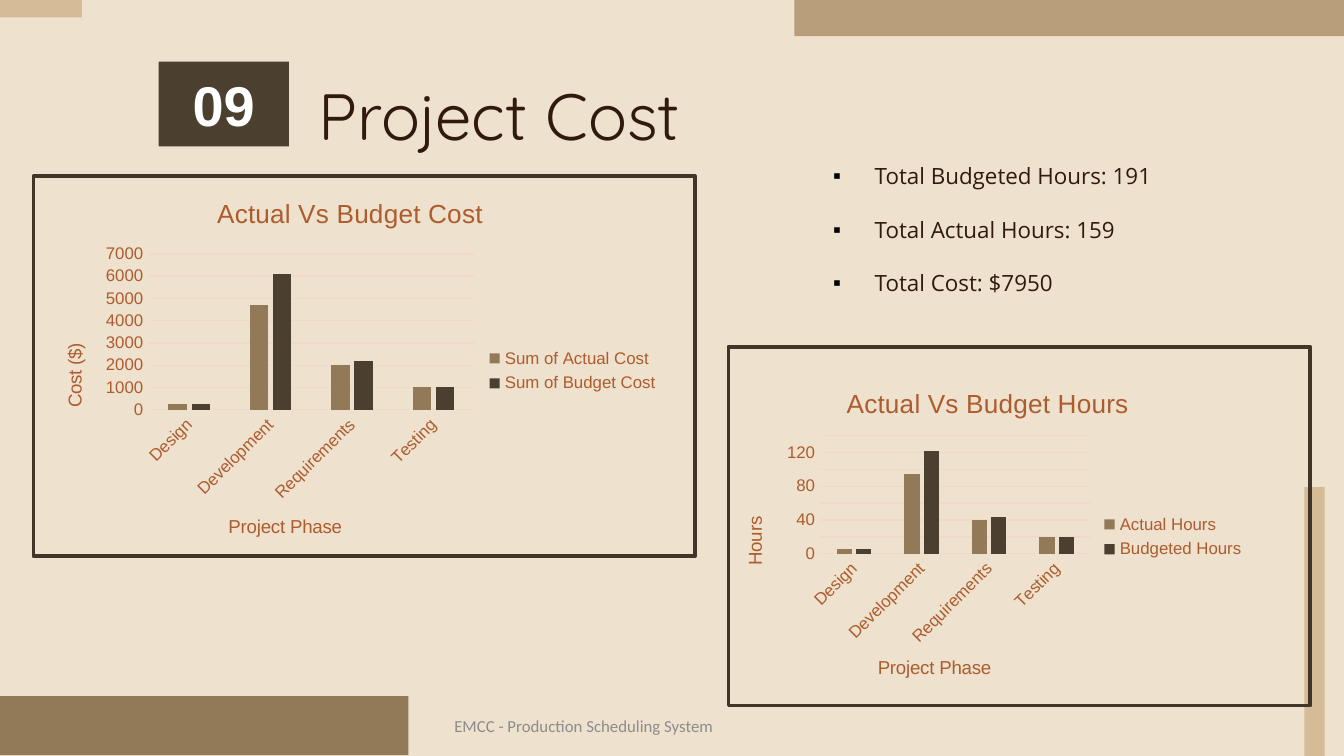
from lxml.etree import SubElement
from pptx import Presentation
from pptx.chart.data import CategoryChartData
from pptx.dml.color import RGBColor
from pptx.enum.chart import XL_CHART_TYPE, XL_LEGEND_POSITION, XL_TICK_MARK
from pptx.enum.shapes import MSO_SHAPE
from pptx.enum.text import MSO_ANCHOR, PP_ALIGN
from pptx.oxml import parse_xml
from pptx.oxml.ns import nsdecls, qn
from pptx.util import Inches, Pt

BROWN, DARK, SAND = "927A59", "4B3F2F", "D5BB96"
INK, RUST, GRID = "311A0D", "AD5C2E", "F1D8CA"
PHASES = ["Design", "Development", "Requirements", "Testing"]


def color(hex_value):
    return RGBColor.from_string(hex_value)


def style_font(font, size, hex_value, name="Arial", bold=False):
    font.size, font.name, font.bold = Pt(size), name, bold
    font.color.rgb = color(hex_value)


def add_rect(slide, box, fill=None, line=None):
    rect = slide.shapes.add_shape(MSO_SHAPE.RECTANGLE, *map(Inches, box))
    rect.shadow.inherit = False
    if fill:
        rect.fill.solid()
        rect.fill.fore_color.rgb = color(fill)
    else:
        rect.fill.background()
    if line:
        rect.line.color.rgb = color(line)
        rect.line.width = Pt(2)
    else:
        rect.line.fill.background()
    return rect


def set_text(shape, text, size, hex_value, name, margins=(0.1, 0.1), bold=False):
    frame = shape.text_frame
    frame.word_wrap = True
    frame.margin_left = frame.margin_right = Inches(margins[0])
    frame.margin_top = frame.margin_bottom = Inches(margins[1])
    frame.text = text
    style_font(frame.paragraphs[0].runs[0].font, size, hex_value, name, bold)
    return frame


def add_text(slide, box, *style, **options):
    label = slide.shapes.add_textbox(*map(Inches, box))
    return set_text(label, *style, **options)


def add_bullets(slide, box, items):
    frame = slide.shapes.add_textbox(*map(Inches, box)).text_frame
    frame.word_wrap = True
    for index, item in enumerate(items):
        paragraph = frame.paragraphs[0] if index == 0 else frame.add_paragraph()
        paragraph.text = item
        if index:
            paragraph.space_before = Pt(14.3)
        props = paragraph._p.get_or_add_pPr()
        props.set("marL", str(Inches(0.31)))
        props.set("indent", str(-Inches(0.31)))
        bullet_color = SubElement(props, qn("a:buClr"))
        SubElement(bullet_color, qn("a:srgbClr"), val="000000")
        SubElement(props, qn("a:buFont"), typeface="Arial")
        SubElement(props, qn("a:buChar"), char="▪")
        style_font(paragraph.runs[0].font, 12, INK, "Open Sans")


def place(element, index, position, inner=False):
    """Give a chart part a fixed place, in fractions of the chart."""
    for old in element.findall(qn("c:layout")):
        element.remove(old)
    layout = parse_xml(f"<c:layout {nsdecls('c')}><c:manualLayout/></c:layout>")
    manual = layout[0]
    if inner:
        SubElement(manual, qn("c:layoutTarget"), val="inner")
    for axis in "xy":
        SubElement(manual, qn(f"c:{axis}Mode"), val="edge")
    for key, value in zip("xywh", position):
        SubElement(manual, qn(f"c:{key}"), val=str(value))
    element.insert(index, layout)


def set_title(title, text, size, position):
    title.text_frame.text = text
    style_font(title.text_frame.paragraphs[0].runs[0].font, size, RUST)
    place(title._element, 1, position)


def add_phase_chart(slide, box, title, unit, series, scale, places):
    data = CategoryChartData()
    data.categories = PHASES
    for name, values in series.items():
        data.add_series(name, values)
    chart = slide.shapes.add_chart(
        XL_CHART_TYPE.COLUMN_CLUSTERED, *map(Inches, box), data).chart
    style_font(chart.font, 10, INK)

    # Columns
    plot = chart.plots[0]
    plot.gap_width, plot.overlap, plot.vary_by_categories = 219, -27, False
    for columns, fill in zip(plot.series, (BROWN, DARK)):
        columns.format.fill.solid()
        columns.format.fill.fore_color.rgb = color(fill)

    # Axes
    phase_axis, value_axis = chart.category_axis, chart.value_axis
    for axis in (phase_axis, value_axis):
        axis.major_tick_mark = axis.minor_tick_mark = XL_TICK_MARK.NONE
        style_font(axis.tick_labels.font, 9, RUST)
    phase_axis._element.txPr.find(qn("a:bodyPr")).set("rot", "-2700000")
    value_axis.minimum_scale = 0
    value_axis.maximum_scale, value_axis.major_unit = scale
    value_axis.format.line.fill.background()
    for line in (phase_axis.format.line, value_axis.major_gridlines.format.line):
        line.color.rgb = color(GRID)
        line.width = Pt(0.75)

    # Legend, titles and plot position
    chart.has_legend = True
    chart.legend.position = XL_LEGEND_POSITION.RIGHT
    chart.legend.include_in_layout = False
    style_font(chart.legend.font, 9, RUST)
    set_title(chart.chart_title, title, 14, places["title"])
    set_title(phase_axis.axis_title, "Project Phase", 10, places["phase"])
    set_title(value_axis.axis_title, unit, 10, places["unit"])
    plot_area = chart._chartSpace.chart.plotArea
    place(plot_area, 0, places["plot"], inner=True)


def main():
    prs = Presentation()
    prs.slide_width = Inches(10)
    prs.slide_height = prs.slide_width * 9 // 16
    slide = prs.slides.add_slide(prs.slide_layouts[6])
    slide.background.fill.solid()
    slide.background.fill.fore_color.rgb = color("EEE1CE")

    # Corner blocks
    add_rect(slide, (0, 5.18, 3.04, 0.44), BROWN)
    add_rect(slide, (5.91, -0.02, 4.09, 0.29), "B89E7A")
    add_rect(slide, (0, -0.02, 0.61, 0.15), SAND)
    side_bar = add_rect(slide, (8.78, 4.55, 2, 0.15), SAND)
    side_bar.rotation = 90

    # Heading and section number
    add_text(slide, (2.27, 0.46, 8.43, 0.63), "Project Cost", 35, INK, "Quicksand")
    number = add_rect(slide, (1.18, 0.46, 0.97, 0.63), DARK)
    frame = set_text(number, "09", 30, "FFFFFF", "Arial", bold=True)
    frame.vertical_anchor = MSO_ANCHOR.MIDDLE
    frame.paragraphs[0].alignment = PP_ALIGN.CENTER

    # Totals and footer
    add_bullets(slide, (6.1, 1.16, 3.12, 1.11), [
        "Total Budgeted Hours: 191", "Total Actual Hours: 159", "Total Cost: $7950"])
    footer = add_text(slide, (3.31, 5.25, 3.38, 0.3),
                      "EMCC - Production Scheduling System", 9, "8C8C8C",
                      "Calibri", margins=(0.07, 0.04))
    footer.vertical_anchor = MSO_ANCHOR.MIDDLE

    # Charts
    add_phase_chart(
        slide, (5.34, 2.74, 4.02, 2.51), "Actual Vs Budget Hours", "Hours",
        {"Actual Hours": (5, 94, 40, 20), "Budgeted Hours": (5, 122, 44, 20)},
        (140, 20),
        {"title": (0.23, 0.04), "phase": (0.29, 0.84), "unit": (0.04, 0.43),
         "plot": (0.19, 0.2, 0.5, 0.35)})
    add_phase_chart(
        slide, (0.25, 1.31, 4.75, 2.9), "Actual Vs Budget Cost", "Cost ($)",
        {"Sum of Actual Cost": (250, 4700, 2000, 1000),
         "Sum of Budget Cost": (250, 6100, 2200, 1000)},
        (7000, 1000),
        {"title": (0.28, 0.04), "phase": (0.3, 0.86), "unit": (0.04, 0.42),
         "plot": (0.18, 0.2, 0.51, 0.4)})

    # Chart frames
    for box in ((0.25, 1.31, 4.92, 2.83), (5.42, 2.58, 4.33, 2.67)):
        add_rect(slide, box, line="403527")

    prs.save("out.pptx")


if __name__ == "__main__":
    main()
